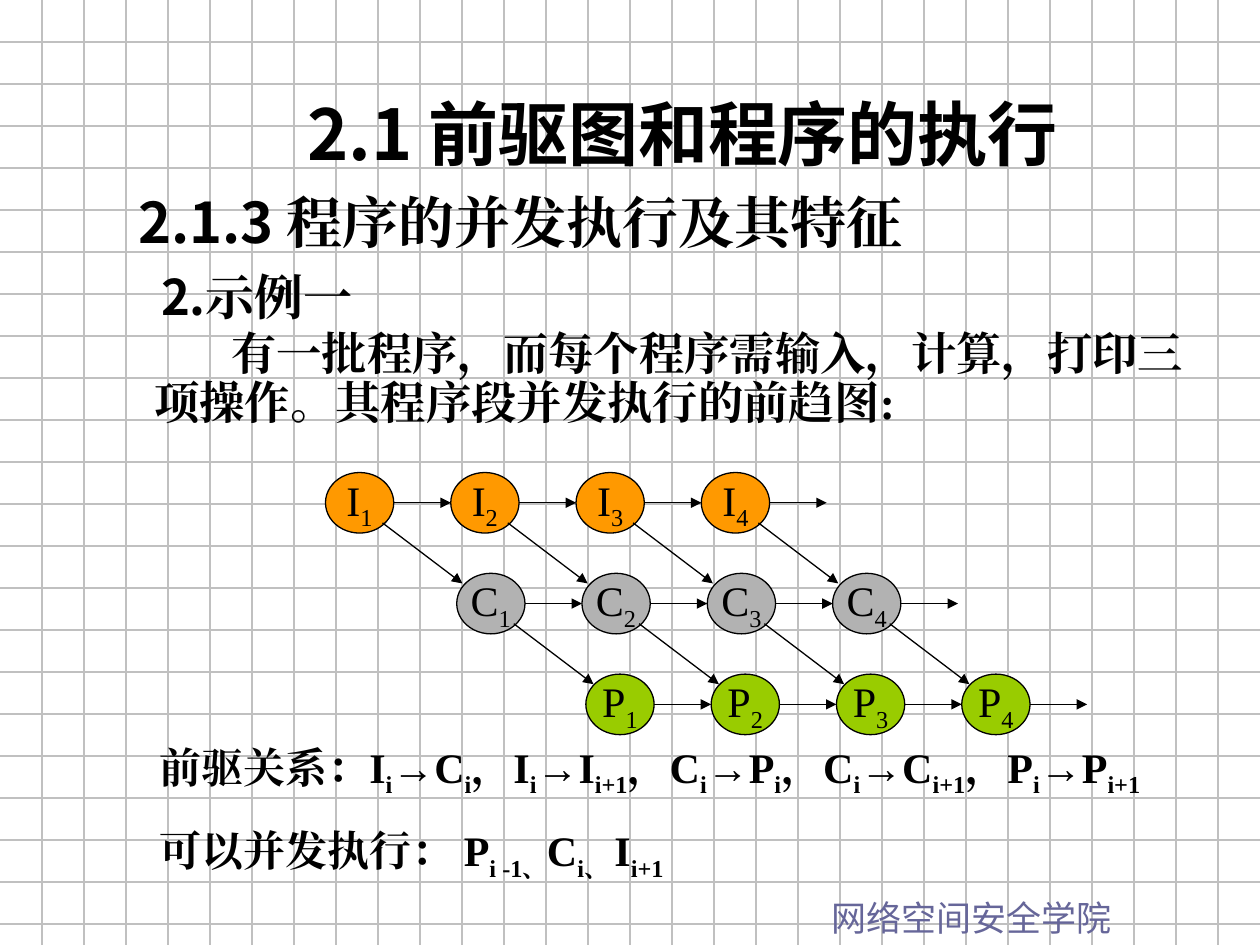
from lxml.etree import SubElement
from pptx import Presentation
from pptx.dml.color import RGBColor
from pptx.enum.shapes import MSO_CONNECTOR, MSO_SHAPE
from pptx.enum.text import MSO_ANCHOR, PP_ALIGN
from pptx.oxml.ns import qn
from pptx.util import Pt

STRAIGHT = MSO_CONNECTOR.STRAIGHT
OVAL = MSO_SHAPE.OVAL
MIDDLE = MSO_ANCHOR.MIDDLE
LEFT, CENTER = PP_ALIGN.LEFT, PP_ALIGN.CENTER
SERIF, SANS, SANS_JP = "Times New Roman", "Noto Sans CJK SC", "Noto Sans CJK JP"

THEME = {
    "ink": RGBColor.from_string("000000"),
    "grid": RGBColor.from_string("C0C0C0"),
    "footer": RGBColor.from_string("666699"),
    "input": RGBColor.from_string("FF9900"),
    "compute": RGBColor.from_string("B2B2B2"),
    "print": RGBColor.from_string("99CC00"),
    "title_size": 40,
    "section_size": 32,
    "example_size": 28,
    "body_size": 25.9,
    "label_size": 24,
    "footer_size": 20,
}


def write(paragraph, text, role, latin, asian, bold=True, color="ink"):
    font = paragraph.font
    font.size = Pt(THEME[role + "_size"])
    font.bold = bold
    font.color.rgb = THEME[color]
    font.name = latin
    defaults = paragraph._p.pPr.find(qn("a:defRPr"))
    SubElement(defaults, qn("a:ea"), typeface=asian)
    for index, part in enumerate(text.split("_")):
        if part:
            run = paragraph.add_run()
            run.text = part
            if index % 2:
                run._r.get_or_add_rPr().set("baseline", "-25000")


def draw_line(shapes, x1, y1, x2, y2, color, arrow=False):
    line = shapes.add_connector(STRAIGHT, Pt(x1), Pt(y1), Pt(x2), Pt(y2))
    line.line.color.rgb = THEME[color]
    line.line.width = Pt(0.75)
    if arrow:
        SubElement(line.line._get_or_add_ln(), qn("a:tailEnd"), type="triangle")
    SubElement(line._element.spPr, qn("a:effectLst"))


WIDTH, HEIGHT, GRID_STEP = 720, 540, 24
prs = Presentation()
prs.slide_width, prs.slide_height = Pt(WIDTH), Pt(HEIGHT)
slide = prs.slides.add_slide(prs.slide_layouts[6])

grid = slide.shapes.add_group_shape().shapes
for y in range(GRID_STEP, HEIGHT, GRID_STEP):
    draw_line(grid, 0, y, WIDTH, y, "grid")
for x in range(GRID_STEP, WIDTH, GRID_STEP):
    draw_line(grid, x, 0, x, HEIGHT, "grid")

footer = (468, 509, 252, 31.7)
headings = (72, 96, 618, 93.6)
title = (102, 48, 576, 55.4)
body = (54, 186, 636, 72)
relations = (84, 420, 582, 121)
paragraphs = [
    (footer, "网络空间安全学院", "footer", SANS_JP, SANS_JP, False, "footer",
     LEFT, 1, 0, 0, 0),
    (headings, "2.1.3 程序的并发执行及其特征", "section", SANS, SERIF, True, "ink",
     LEFT, 1.2, 0, 36, -36),
    (headings, "2.示例一", "example", SANS, SERIF, True, "ink",
     LEFT, 1.2, 0, 13, 0),
    (title, "2.1 前驱图和程序的执行", "title", SANS_JP, SANS_JP, True, "ink",
     CENTER, 1, 0, 0, 0),
    (body, "有一批程序，而每个程序需输入，计算，打印三项操作。其程序段并发执行的前趋图:",
     "body", SERIF, SERIF, True, "ink", LEFT, 0.9, 0, 27, 44),
    (relations, "前驱关系：I_i_→C_i_，I_i_→I_i+1_，C_i_→P_i_，C_i_→C_i+1_，P_i_→P_i+1_",
     "label", SERIF, SERIF, True, "ink", LEFT, 1, 0, 0, 0),
    (relations, "可以并发执行： P_i -1、_C_i、 _I_i+1_",
     "label", SERIF, SERIF, True, "ink", LEFT, 1, 15, 0, 0),
]

frames = {}
for (area, text, role, latin, asian, bold, color,
     align, spacing, before, margin, indent) in paragraphs:
    if area in frames:
        paragraph = frames[area].add_paragraph()
    else:
        frames[area] = slide.shapes.add_textbox(*map(Pt, area)).text_frame
        frames[area].word_wrap = True
        paragraph = frames[area].paragraphs[0]
    paragraph.alignment = align
    paragraph.line_spacing = spacing
    if before:
        paragraph.space_before = Pt(before)
    properties = paragraph._p.get_or_add_pPr()
    properties.set("marL", str(Pt(margin)))
    properties.set("indent", str(Pt(indent)))
    write(paragraph, text, role, latin, asian, bold, color)

NODE_W, NODE_H = 39, 34.6
COLUMN_STEP, ROW_STEP, FIRST_TOP = 71.6, 57.6, 270
ARROW_LENGTH = COLUMN_STEP - NODE_W
stages = [("I", "input", 186), ("C", "compute", 261), ("P", "print", 334.8)]

diagram = slide.shapes.add_group_shape().shapes
for row, (letter, color, first_left) in enumerate(stages):
    top = FIRST_TOP + row * ROW_STEP
    for column in range(4):
        left = first_left + column * COLUMN_STEP
        node = diagram.add_shape(OVAL, Pt(left), Pt(top), Pt(NODE_W), Pt(NODE_H))
        node.shadow.inherit = False
        node.fill.solid()
        node.fill.fore_color.rgb = THEME[color]
        node.line.color.rgb = THEME["ink"]
        node.line.width = Pt(0.75)
        node.text_frame.word_wrap = False
        node.text_frame.vertical_anchor = MIDDLE
        label = node.text_frame.paragraphs[0]
        label.alignment = CENTER
        write(label, f"{letter}_{column + 1}_", "label", SERIF, SERIF, bold=False)

        right, middle = left + NODE_W, top + NODE_H / 2
        draw_line(diagram, right, middle, right + ARROW_LENGTH, middle, "ink", True)
        if row < len(stages) - 1:
            x, y = left + 32.6, top + 28.8
            draw_line(diagram, x, y, x + 45.6, y + 34.6, "ink", True)

prs.save("out.pptx")
